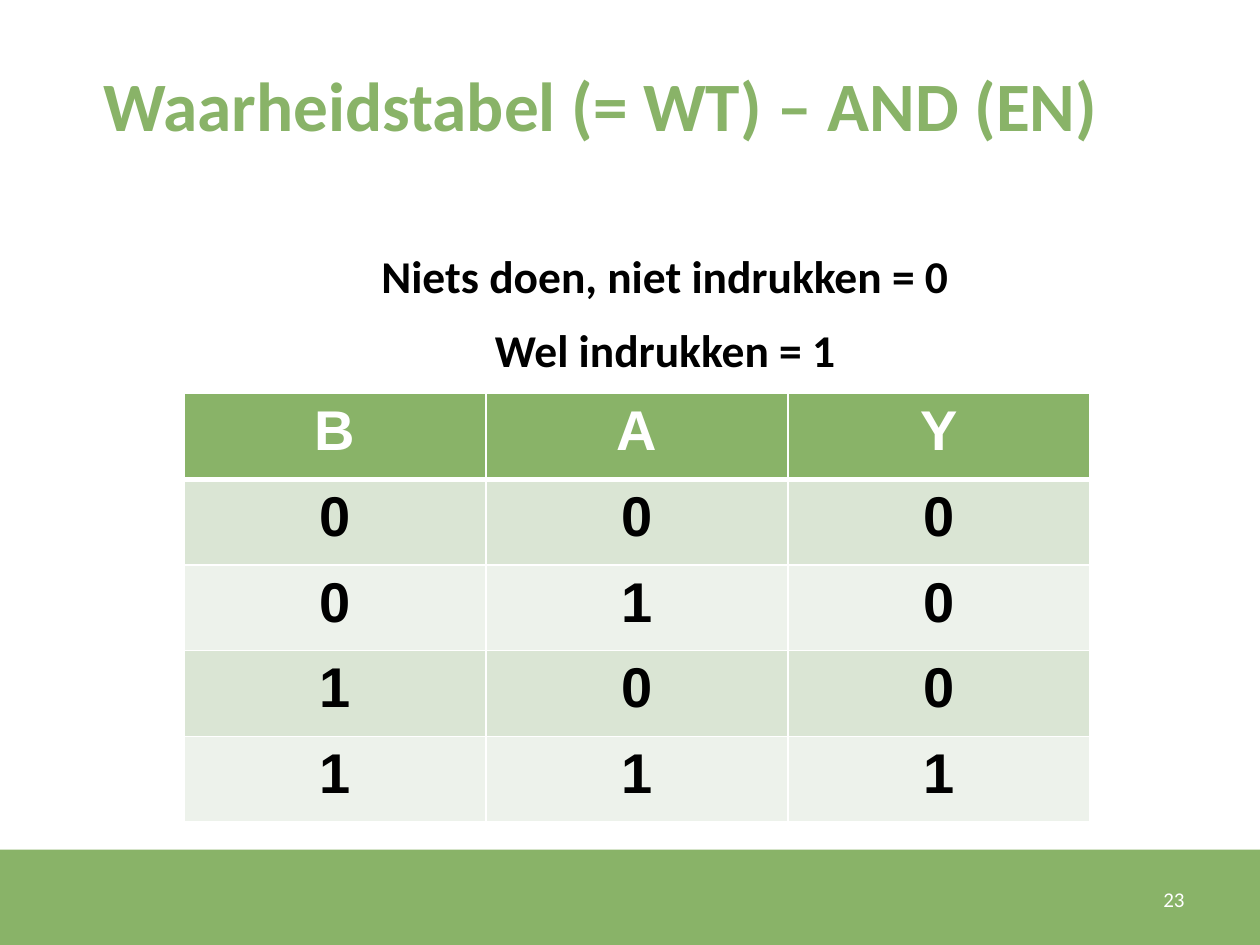
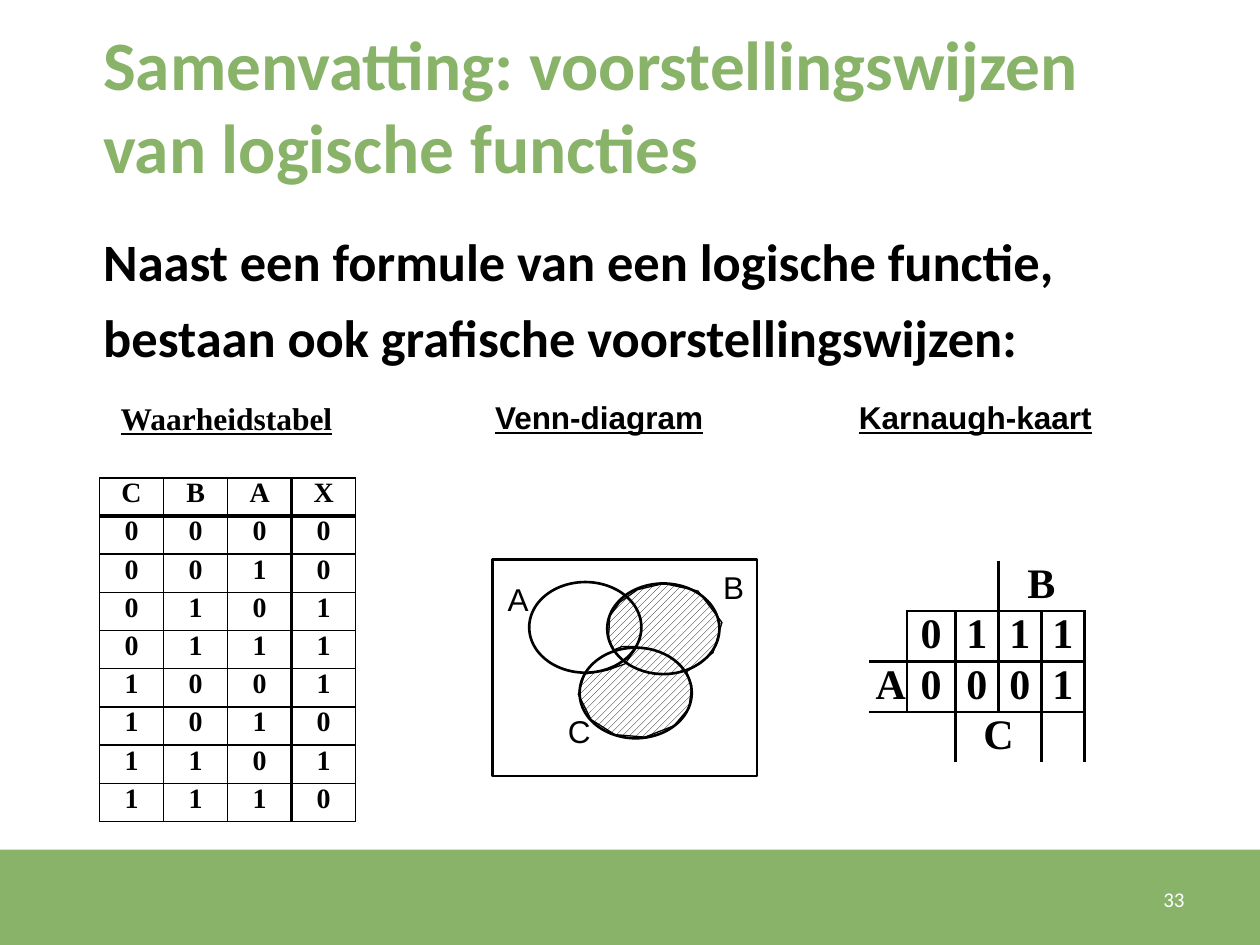
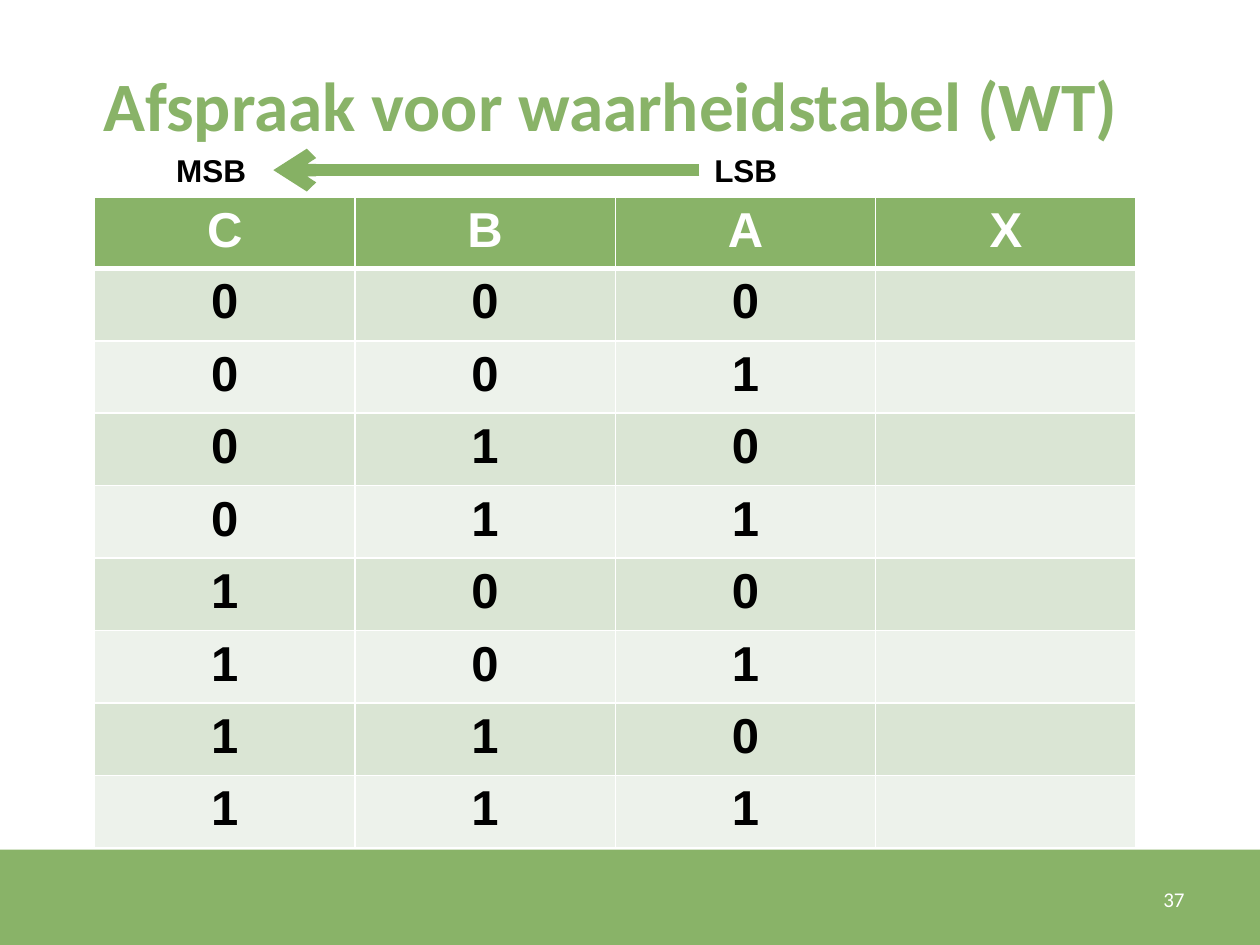
"""Builds three slides on truth tables and other views of logic functions."""
from dataclasses import dataclass
from itertools import product

from lxml.etree import SubElement
from pptx import Presentation
from pptx.dml.color import RGBColor
from pptx.enum.dml import MSO_PATTERN
from pptx.enum.shapes import MSO_CONNECTOR, MSO_SHAPE
from pptx.enum.text import MSO_ANCHOR, MSO_AUTO_SIZE, PP_ALIGN
from pptx.oxml.ns import qn
from pptx.util import Pt


@dataclass(frozen=True)
class Theme:
    green: RGBColor = RGBColor(0x89, 0xB3, 0x68)
    arrow: RGBColor = RGBColor(0x86, 0xB1, 0x64)
    band_dark: RGBColor = RGBColor(0xDA, 0xE5, 0xD4)
    band_light: RGBColor = RGBColor(0xED, 0xF2, 0xEB)
    black: RGBColor = RGBColor(0, 0, 0)
    white: RGBColor = RGBColor(255, 255, 255)
    sans: str = "Calibri"
    plain: str = "Arial"
    serif: str = "Times New Roman"
    title: float = 39.6
    table: float = 32
    body: float = 30
    long_table: float = 28
    rule: float = 26
    map: float = 24
    label: float = 18
    small_table: float = 16
    number: float = 12


theme = Theme()
NO_GRID_STYLE = "{2D5ABB26-0587-4C30-8999-92F81FD0307C}"


def write(frame, lines, name, size, color, font=None, paragraph=None):
    """Fill a text frame with one formatted paragraph per line."""
    for index, line in enumerate(lines):
        para = frame.add_paragraph() if index else frame.paragraphs[0]
        for key, value in (paragraph or {}).items():
            setattr(para, key, value)
        span = para.add_run()
        span.text = line
        for key, value in {"name": name, "size": Pt(size), **(font or {})}.items():
            setattr(span.font, key, value)
        span.font.color.rgb = color


def add_grid(page, left, top, widths, heights, rows, look, sides=None):
    """Add a table whose fills and borders follow the given look."""
    table = page.shapes.add_table(len(rows), len(widths), Pt(left), Pt(top),
                                  Pt(sum(widths)), Pt(sum(heights))).table
    table.first_row = table.horz_banding = False
    table._tbl.tblPr.find(qn("a:tableStyleId")).text = NO_GRID_STYLE
    for column, width in zip(table.columns, widths):
        column.width = Pt(width)
    for row, height in zip(table.rows, heights):
        row.height = Pt(height)
    for r, c in product(range(len(rows)), range(len(widths))):
        cell = table.cell(r, c)
        for key, value in look["margins"].items():
            setattr(cell, key, Pt(value))
        for side in sides[r][c] if sides else "LRTB":
            place = f"{side}{c if side in 'LR' else r}"
            weight = look["heavy"].get(place, look["weight"])
            line = SubElement(cell._tc.get_or_add_tcPr(), qn(f"a:ln{side}"), w=str(Pt(weight)))
            SubElement(SubElement(line, qn("a:solidFill")), qn("a:srgbClr"), val=str(look["line"]))
        if look["banded"]:
            cell.fill.solid()
            band = theme.band_dark if r % 2 else theme.band_light
            cell.fill.fore_color.rgb = band if r else theme.green
        else:
            cell.fill.background()
        if rows[r][c].strip():
            color = theme.white if look["banded"] and r == 0 else theme.black
            write(cell.text_frame, [rows[r][c]], look["font"], look["size"], color,
                  {"bold": True}, {"alignment": PP_ALIGN.CENTER})
    return table


deck = Presentation()
deck.slide_width, deck.slide_height = Pt(720), Pt(540)

contents = [
    ("Waarheidstabel (= WT) – AND (EN)", "23",
     (["Niets doen, niet indrukken = 0", "Wel indrukken = 1"], 64.1, 131.8, theme.rule, PP_ALIGN.CENTER)),
    ("Samenvatting: voorstellingswijzen van logische functies", "33",
     (["Naast een formule van een logische functie, bestaan ook grafische voorstellingswijzen:"],
      51.8, 120.2, theme.body, PP_ALIGN.LEFT)),
    ("Afspraak voor waarheidstabel (WT)", "37", None),
]
pages = []
for title, number, body in contents:
    page = deck.slides.add_slide(deck.slide_layouts[1 if body else 5])
    pages.append(page)
    box = page.shapes.title
    box.left, box.top, box.width, box.height = Pt(51.8), Pt(14.4), Pt(632.2), Pt(90)
    box.text_frame.auto_size = MSO_AUTO_SIZE.NONE
    box.text_frame.vertical_anchor = MSO_ANCHOR.MIDDLE
    write(box.text_frame, [title], theme.sans, theme.title, theme.green,
          {"bold": True}, {"alignment": PP_ALIGN.LEFT})
    if body:
        lines, left, top, size, alignment = body
        box = page.placeholders[1]
        box.left, box.top, box.width, box.height = Pt(left), Pt(top), Pt(632.2), Pt(356.4)
        box.text_frame.auto_size = MSO_AUTO_SIZE.NONE
        write(box.text_frame, lines, theme.sans, size, theme.black, {"bold": True},
              {"alignment": alignment, "line_spacing": 1.2, "space_before": Pt(size * 0.2)})
        for para in box.text_frame.paragraphs:
            properties = para._p.get_or_add_pPr()
            properties.set("marL", "0")
            properties.set("indent", "0")
            SubElement(properties, qn("a:buNone"))
    box = page.shapes.add_textbox(Pt(642.2), Pt(499.7), Pt(41.8), Pt(28.8))
    box.text_frame.word_wrap = True
    box.text_frame.vertical_anchor = MSO_ANCHOR.MIDDLE
    write(box.text_frame, [number], theme.sans, theme.number, theme.white,
          paragraph={"alignment": PP_ALIGN.RIGHT})
and_page, summary_page, order_page = pages

footer = and_page.shapes.add_shape(MSO_SHAPE.RECTANGLE, Pt(0), Pt(485.5), Pt(723), Pt(57))
footer.shadow.inherit = False
footer.fill.solid()
footer.fill.fore_color.rgb = theme.green
footer.line.fill.background()
footer._element.nvSpPr.cNvPr.set("id", "20")
deck.slide_master.element.cSld.spTree.insert(2, footer._element)

banded = {"font": theme.plain, "size": theme.table, "line": theme.white, "weight": 1,
          "heavy": {"B0": 3, "T1": 3}, "banded": True, "margins": {}}
ruled = {"font": theme.serif, "size": theme.small_table, "line": theme.black, "weight": 1,
         "heavy": {"B0": 2.25, "T1": 2.25, "R2": 2.25, "L3": 2.25}, "banded": False,
         "margins": {"margin_left": 3.6, "margin_right": 3.6, "margin_top": 0, "margin_bottom": 0}}
pairs = ["".join(bits) for bits in product("01", repeat=2)]
triples = ["".join(bits) for bits in product("01", repeat=3)]

and_rows = ["BAY"] + [bits + ("1" if bits == "11" else "0") for bits in pairs]
add_grid(and_page, 105.1, 224.9, [172.6] * 3, [48.96] * 5, and_rows, banded)

truth_rows = ["CBAX"] + [bits + result for bits, result in zip(triples, "00111010")]
add_grid(summary_page, 56.9, 273, [36.6] * 4, [21.84] * 9, truth_rows, ruled)

map_rows = ["   B ", " 0111", "A0001", "  C  "]
map_sides = [
    ["", "B", "RB", "LB", "B"],
    ["RB"] + ["LRTB"] * 4,
    ["RT"] + ["LRTB"] * 4,
    ["", "RT", "LRT", "RT", "LT"],
]
karnaugh = add_grid(summary_page, 496.8, 320.4, [21.3, 27.9, 24.6, 24.6, 24.6], [28.8] * 4, map_rows,
                    {**ruled, "size": theme.map, "weight": 1.5, "heavy": {}}, map_sides)
karnaugh.cell(0, 3).merge(karnaugh.cell(0, 4))
karnaugh.cell(3, 2).merge(karnaugh.cell(3, 3))

order_rows = ["CBAX"] + [bits + " " for bits in triples]
add_grid(order_page, 54, 112.5, [148.8] * 4, [39.4] + [41.4] * 8, order_rows,
         {**banded, "size": theme.long_table})

hatch_outline = [
    (364.3, 369.4), (355.7, 369.4), (350.6, 371.5), (347.8, 364.3), (348.5, 352.1), (354.2, 344.2),
    (364.3, 337), (379.4, 333.4), (398.9, 337.7), (412.6, 355.7), (407.5, 373), (396.7, 380.9),
    (392.4, 383.8), (395.3, 391.7), (393.8, 404.6), (385.2, 414.7), (368.6, 421.2), (351.4, 419.8),
    (337.7, 411.1), (330.5, 396.7), (334.1, 385.2), (347, 383), (357.1, 379.4),
]
points = [(Pt(x), Pt(y)) for x, y in hatch_outline]
builder = summary_page.shapes.build_freeform(*points[0])
builder.add_line_segments(points[1:], close=True)
hatch = builder.convert_to_shape()
hatch.shadow.inherit = False
hatch.fill.patterned()
hatch.fill.pattern = MSO_PATTERN.WIDE_UPWARD_DIAGONAL
hatch.fill.fore_color.rgb = theme.black
hatch.fill.back_color.rgb = theme.white
hatch.line.color.rgb = theme.black
hatch.line.width = Pt(0.75)

venn_outlines = [(MSO_SHAPE.RECTANGLE, 281.5, 319.7, 151.2, 123.8)]
venn_outlines += [(MSO_SHAPE.OVAL, left, top, 64.1, 51.8)
                  for left, top in ((302.4, 332.6), (347, 333.4), (331.2, 370.1))]
for kind, *frame in venn_outlines:
    outline = summary_page.shapes.add_shape(kind, *map(Pt, frame))
    outline.shadow.inherit = False
    outline.fill.background()
    outline.line.color.rgb = theme.black
    outline.line.width = Pt(1.5)

heading = {"bold": True, "underline": True}
labels = [
    (summary_page, "Waarheidstabel", 61.9, 224.6, 136.8, 28.8, theme.serif, heading),
    (summary_page, "Venn-diagram", 275.8, 223.9, 134.6, 28.8, theme.plain, heading),
    (summary_page, "Karnaugh-kaart", 483.8, 223.9, 149, 28.8, theme.plain, heading),
    (summary_page, "A", 283, 327.6, 26.6, 35.3, theme.plain, {}),
    (summary_page, "B", 406.1, 321.1, 26.6, 35.3, theme.plain, {}),
    (summary_page, "C", 317.5, 403.2, 26.6, 35.3, theme.plain, {}),
    (order_page, "MSB\tLSB", 93.6, 82.8, 465.1, 28.8, theme.plain, {"bold": True}),
]
for page, text, left, top, width, height, name, font in labels:
    box = page.shapes.add_textbox(Pt(left), Pt(top), Pt(width), Pt(height))
    box.text_frame.word_wrap = font is not heading
    write(box.text_frame, [text], name, theme.label, theme.black, font)
    if "\t" in text:
        stops = SubElement(box.text_frame.paragraphs[0]._p.get_or_add_pPr(), qn("a:tabLst"))
        SubElement(stops, qn("a:tab"), pos=str(Pt(307.5)), algn="l")

arrow = order_page.shapes.add_connector(MSO_CONNECTOR.STRAIGHT, Pt(399.6), Pt(97.2), Pt(156.2), Pt(97.2))
arrow.line.color.rgb = theme.arrow
arrow.line.width = Pt(7)
SubElement(arrow.line._get_or_add_ln(), qn("a:tailEnd"), type="arrow")
SubElement(arrow._element.spPr, qn("a:effectLst"))

deck.save("out.pptx")
